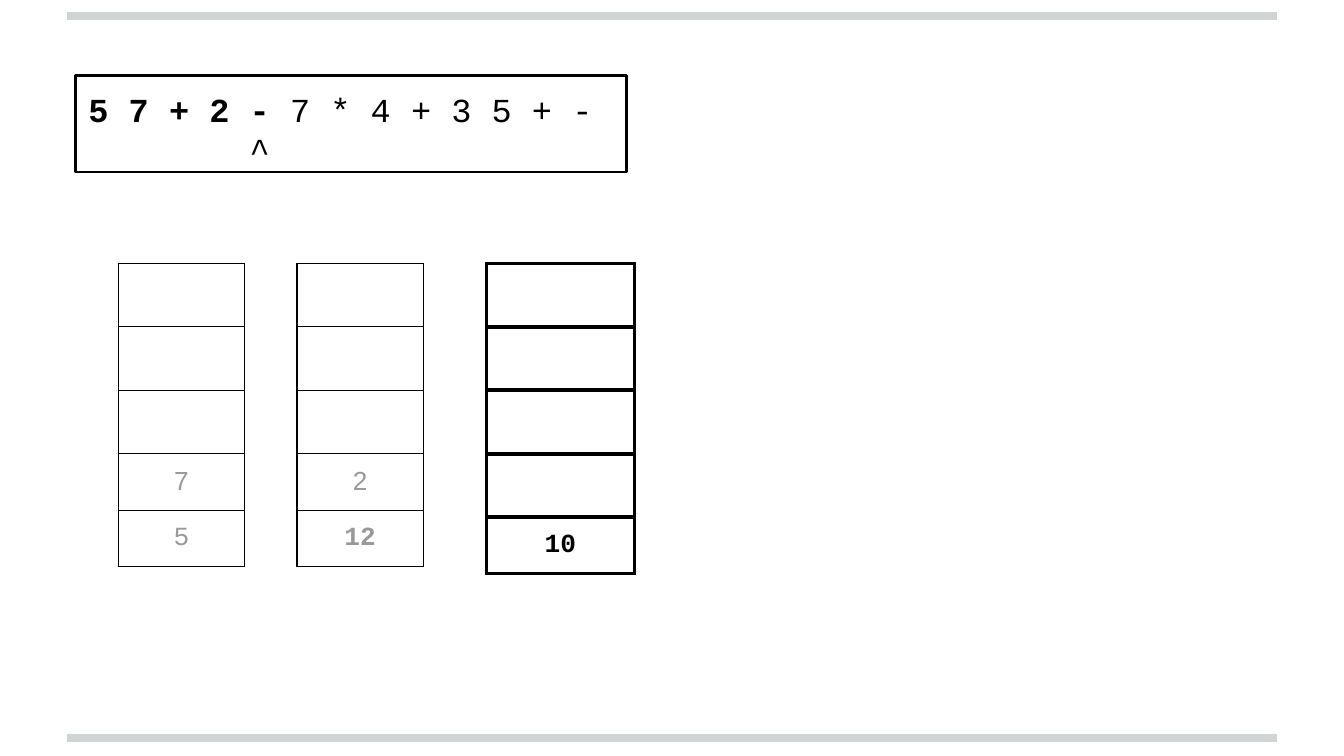
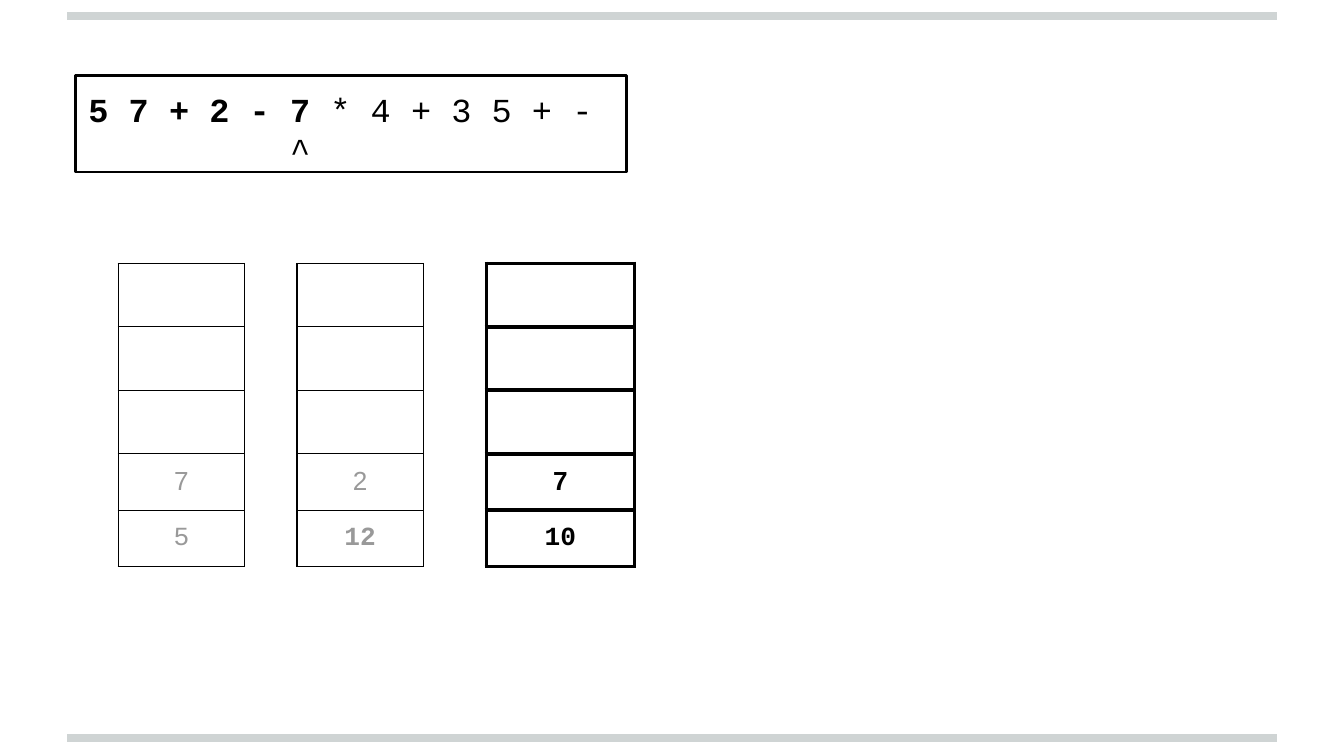
from lxml.etree import SubElement as Sub
from pptx import Presentation
from pptx.dml.color import RGBColor as RGB
from pptx.enum.shapes import MSO_CONNECTOR as CONN, MSO_SHAPE as SHAPE
from pptx.enum.text import MSO_ANCHOR as ANCHOR, PP_ALIGN as ALIGN
from pptx.oxml.ns import qn
from pptx.util import Inches, Pt

COLORS = {"ink": "000000", "past": "999999", "rule": "CFD4D4", "page": "FFFFFF"}
MONO, SANS = "Courier New", "Arial"
TOKENS = "5 7 + 2 - 7 * 4 + 3 5 + -"
CHAR_W, STACK_ROWS, ROW_H = 0.15, 5, 0.42
MARGINS = {f"margin_{side}": Inches(0.1) for side in ("left", "top", "right", "bottom")}


def assign(obj, values):
    """Set every attribute in values on obj."""
    for name, value in values.items():
        setattr(obj, name, value)


def add_run(p, text, color, **font):
    """Add a run in a palette colour with the given font values."""
    r = p.add_run()
    r.text = text
    assign(r.font, font)
    r.font.color.rgb = RGB.from_string(COLORS[color])


def rule(s, x, y, w):
    """Draw a horizontal rule of width w."""
    line = s.shapes.add_connector(CONN.STRAIGHT, *map(Inches, (x, y, x + w, y)))
    line.line.color.rgb = RGB.from_string(COLORS["rule"])
    line.line.width = Pt(4)
    Sub(line._element.spPr, qn("a:effectLst"))


def expression(s, x, y, w, h, pos):
    """Draw the expression box, bold up to the caret under character pos."""
    sp = s.shapes.add_shape(SHAPE.RECTANGLE, *map(Inches, (x, y, w, h)))
    sp.shadow.inherit = False
    sp.fill.background()
    sp.line.color.rgb = RGB.from_string(COLORS["ink"])
    sp.line.width = Pt(1.5)
    tf = sp.text_frame
    assign(tf, {**MARGINS, "word_wrap": True, "vertical_anchor": ANCHOR.TOP})
    p, caret = tf.paragraphs[0], tf.add_paragraph()
    for para in (p, caret):
        assign(para, {"alignment": ALIGN.LEFT, "line_spacing": 1.0})
    font = {"size": Pt(18), "name": MONO}
    add_run(p, TOKENS[:pos + 1], "ink", bold=True, **font)
    add_run(p, TOKENS[pos + 1:], "ink", bold=False, **font)
    caret._p.get_or_add_pPr().set("marL", str(Inches(pos * CHAR_W)))
    caret._p.get_or_add_pPr().set("indent", "0")
    add_run(caret, "^", "ink", bold=False, **font)


def border(cell, width):
    """Give a cell four solid borders, ahead of its fill."""
    tc_pr = cell._tc.get_or_add_tcPr()
    for i, side in enumerate(("lnL", "lnR", "lnT", "lnB")):
        ln = Sub(tc_pr, qn(f"a:{side}"), w=str(Pt(width)))
        Sub(Sub(ln, qn("a:solidFill")), qn("a:srgbClr"), val=COLORS["ink"])
        tc_pr.insert(i, ln)


def stack(s, x, y, w, values, color, weight, bold):
    """Draw a stack whose values, given top first, fill its last rows."""
    frame = s.shapes.add_table(STACK_ROWS, 1, *map(Inches, (x, y, w, STACK_ROWS * ROW_H)))
    table = frame.table
    assign(table, {"first_row": False, "horz_banding": False})
    blanks = STACK_ROWS - len(values)
    for i, text in enumerate([""] * blanks + values):
        table.rows[i].height = Inches(ROW_H)
        cell = table.cell(i, 0)
        assign(cell, MARGINS)
        cell.fill.background()
        border(cell, weight)
        p = cell.text_frame.paragraphs[0]
        p.alignment = ALIGN.CENTER
        if text:
            font = MONO if i == STACK_ROWS - 1 else SANS
            add_run(p, text, color, size=Pt(14), name=font, bold=bold(text))
        else:
            end = Sub(p._p, qn("a:endParaRPr"), sz="1750")
            Sub(end, qn("a:latin"), typeface=SANS)


def step(prs, pos, current):
    """Add a slide for one evaluation step."""
    s = prs.slides.add_slide(prs.slide_layouts[6])
    s.background.fill.solid()
    s.background.fill.fore_color.rgb = RGB.from_string(COLORS["page"])
    for y in (5.49, 0.12):
        rule(s, 0.5, y, 9)
    expression(s, 0.56, 0.56, 4.1, 0.72, pos)
    for x, values in ((0.88, ["7", "5"]), (2.21, ["2", "12"])):
        stack(s, x, 1.96, 0.94, values, "past", 0.75, lambda text: text == "12")
    stack(s, 3.62, 1.96, 1.1, current, "ink", 2.25, lambda text: True)


prs = Presentation()
assign(prs, {"slide_width": Inches(10), "slide_height": Inches(10 * 9 / 16)})
for pos, current in ((8, ["10"]), (10, ["7", "10"])):
    step(prs, pos, current)
prs.save("out.pptx")
